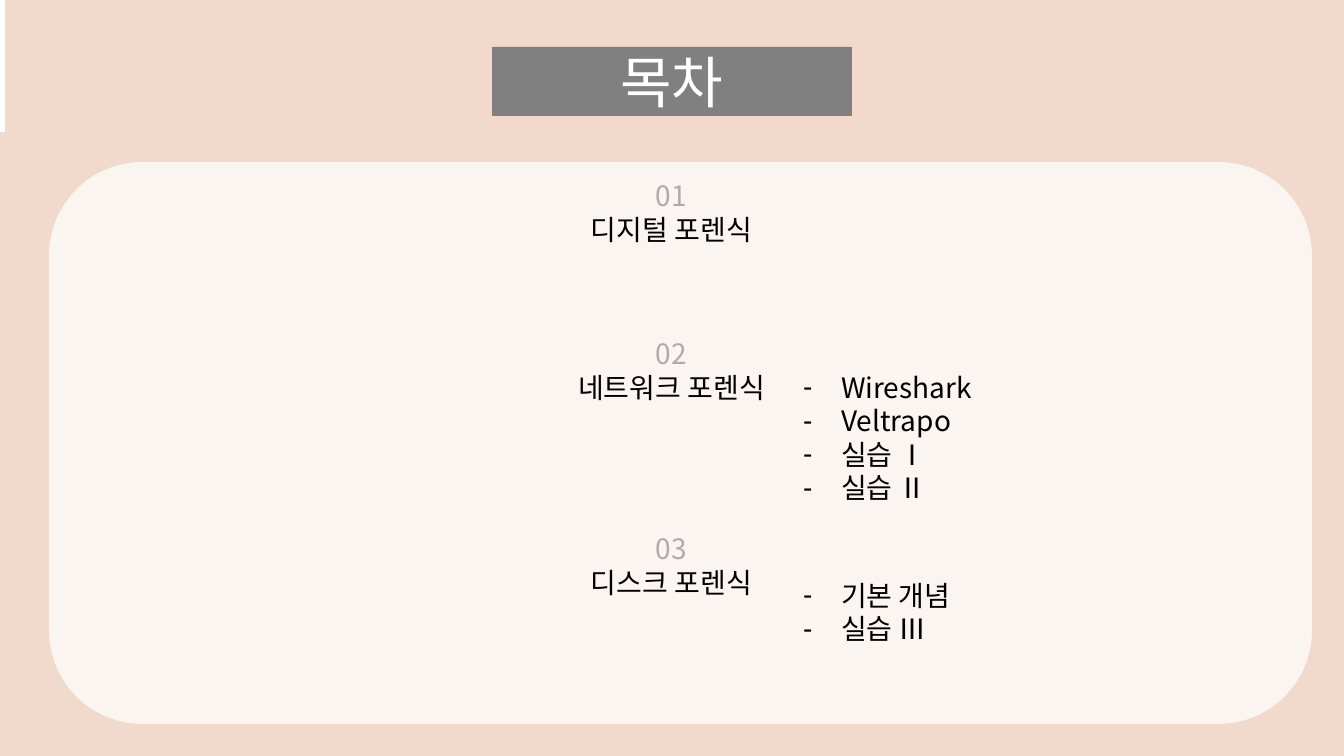
import pptx
import pptx.dml.color
import pptx.enum.shapes
import pptx.enum.text
import pptx.oxml
import pptx.oxml.ns
import pptx.util

PX = 914400 / 100.8
THEME = {
    "font": "Noto Sans CJK KR",
    "title_size": 40,
    "text_size": 20,
    "background": "F1D9CB",
    "white": "FFFFFF",
    "title_fill": "808080",
    "number": "AFABAB",
    "text": "000000",
}
ALIGN = pptx.enum.text.PP_ALIGN
ANCHOR = pptx.enum.text.MSO_ANCHOR
AUTO_SIZE = pptx.enum.text.MSO_AUTO_SIZE
SHAPE_TYPE = pptx.enum.shapes.MSO_SHAPE
RGB = pptx.dml.color.RGBColor.from_string


def place(shape, *box):
    for name, pixels in zip(("left", "top", "width", "height"), box):
        setattr(shape, name, pptx.util.Emu(round(pixels * PX)))


def write_lines(shape, lines, size, align, anchor, auto_size, bullet=None):
    frame = shape.text_frame
    frame_format = {"word_wrap": True, "auto_size": auto_size, "vertical_anchor": anchor}
    for name, value in frame_format.items():
        setattr(frame, name, value)
    for index, (text, color) in enumerate(lines):
        paragraph = frame.add_paragraph() if index else frame.paragraphs[0]
        if bullet:
            properties = paragraph._p.get_or_add_pPr()
            indent = round(38 * PX)
            properties.set("marL", str(indent))
            properties.set("indent", str(-indent))
            properties.append(pptx.oxml.parse_xml(
                f'<a:buChar {pptx.oxml.ns.nsdecls("a")} char="{bullet}"/>'))
        paragraph_format = {"alignment": align, "space_before": pptx.util.Pt(0)}
        for name, value in paragraph_format.items():
            setattr(paragraph, name, value)
        run = paragraph.add_run()
        run.text = text
        font_format = {"name": THEME["font"], "size": pptx.util.Pt(size), "bold": False}
        for name, value in font_format.items():
            setattr(run.font, name, value)
        run.font.color.rgb = RGB(THEME[color])
        run._r.get_or_add_rPr().append(pptx.oxml.parse_xml(
            f'<a:ea {pptx.oxml.ns.nsdecls("a")} typeface="{THEME["font"]}"/>'))


presentation = pptx.Presentation()
presentation.slide_width = pptx.util.Emu(round(1344 * PX))
presentation.slide_height = pptx.util.Emu(round(756 * PX))
slide = presentation.slides.add_slide(presentation.slide_layouts[3])
slide.background.fill.solid()
slide.background.fill.fore_color.rgb = RGB(THEME["background"])

panel = slide.shapes.add_shape(SHAPE_TYPE.ROUNDED_RECTANGLE, 0, 0, 0, 0)
place(panel, 49, 162, 1263, 562)
edge_strip = slide.shapes.add_shape(SHAPE_TYPE.RECTANGLE, 0, 0, 0, 0)
place(edge_strip, 0, 0, 5, 132)
for shape in (panel, edge_strip):
    shape.shadow.inherit = False
    shape.fill.solid()
    shape.fill.fore_color.rgb = RGB(THEME["white"])
    shape.line.fill.background()
panel_color = panel._element.spPr.find(".//" + pptx.oxml.ns.qn("a:srgbClr"))
panel_color.append(pptx.oxml.parse_xml(
    f'<a:alpha {pptx.oxml.ns.nsdecls("a")} val="75000"/>'))
slide.shapes._spTree.insert(2, panel._element)

title = slide.shapes.title
place(title, 492, 47, 360, 69)
title.fill.solid()
title.fill.fore_color.rgb = RGB(THEME["title_fill"])
write_lines(title, [("목차", "white")], THEME["title_size"],
            ALIGN.CENTER, ANCHOR.MIDDLE, AUTO_SIZE.NONE)

topics = [("디지털 포렌식", 174), ("네트워크 포렌식", 332), ("디스크 포렌식", 527)]
for number, (topic, top) in enumerate(topics, start=1):
    topic_box = slide.shapes.add_textbox(0, 0, 0, 0)
    place(topic_box, 539, top, 265, 78)
    write_lines(topic_box, [(f"{number:02}", "number"), (topic, "text")], THEME["text_size"],
                ALIGN.CENTER, ANCHOR.TOP, AUTO_SIZE.SHAPE_TO_FIT_TEXT)

subtopics = [
    (1, 365, 146, ["Wireshark", "Veltrapo", "실습 Ⅰ", "실습 Ⅱ"]),
    (2, 573, 78, ["기본 개념", "실습 Ⅲ"]),
]
for placeholder, top, height, items in subtopics:
    subtopic_list = slide.placeholders[placeholder]
    place(subtopic_list, 793, top, 265, height)
    write_lines(subtopic_list, [(item, "text") for item in items], THEME["text_size"],
                ALIGN.LEFT, ANCHOR.TOP, AUTO_SIZE.SHAPE_TO_FIT_TEXT, bullet="-")

presentation.save("out.pptx")
